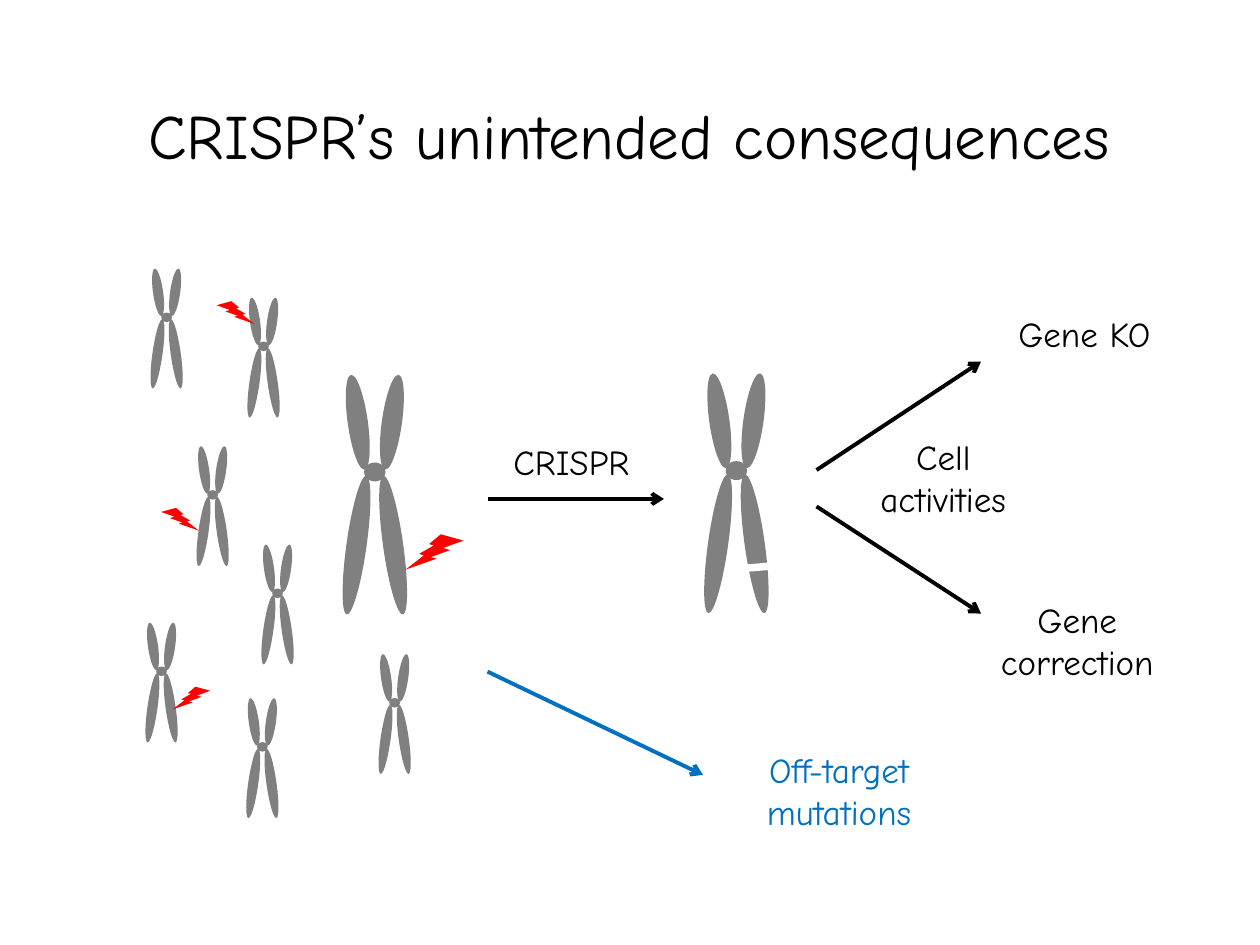
from pptx import Presentation
from pptx.dml.color import RGBColor
from pptx.enum import shapes, text
from pptx.oxml.ns import qn
from pptx.util import Pt
from lxml import etree

FONT = "Comic Neue"
BLACK = RGBColor(0, 0, 0)
WHITE = RGBColor(255, 255, 255)
GREY = RGBColor(128, 128, 128)
CENTRE_GREY = RGBColor(127, 127, 127)
RED = RGBColor(255, 0, 0)
BLUE = RGBColor(0, 112, 192)

# Chromosome parts at full size: left, top, width, height, rotation, colour
CHROMOSOME = [
    (0.7, 0, 11.5, 54.7, 352, GREY),
    (0, 57.6, 11.5, 80, 8, GREY),
    (20.2, 0, 11.5, 54.7, 8, GREY),
    (20.9, 57.6, 11.5, 80, 352, GREY),
    (10.1, 50.4, 12.2, 10.8, 0, CENTRE_GREY),
]
# Corners of the half-size chromosomes, relative to the genome region
SMALL_CHROMOSOMES = [(0, 0), (55.4, 16.6), (26.3, 101.5), (63.4, 157.7),
                     (-2.9, 202.3), (130.3, 220.3), (54.7, 245.5)]
# Cut sites: left, top, width, height, mirrored
CUT_SITES = [(144.7, 151.9, 33.1, 20.2, True), (11.5, 239, 21.6, 13, True),
             (5, 136.8, 21.6, 13, False), (36.7, 18.7, 21.6, 13, False)]


def add_solid(container, kind, x, y, w, h, color):
    sp = container.add_shape(kind, Pt(x), Pt(y), Pt(w), Pt(h))
    sp.shadow.inherit = False
    sp.fill.solid()
    sp.fill.fore_color.rgb = color
    sp.line.fill.background()
    return sp


def add_line(container, start, end, color, width, arrow=True):
    line = container.add_connector(shapes.MSO_CONNECTOR.STRAIGHT,
                                   *(Pt(v) for v in (*start, *end)))
    line.line.color.rgb = color
    line.line.width = Pt(width)
    if arrow:
        etree.SubElement(line.line._get_or_add_ln(), qn("a:tailEnd"), type="arrow")
    etree.SubElement(line.element.spPr, qn("a:effectLst"))


def format_text(tf, words, size, color):
    tf.text = words
    tf.word_wrap = True
    p = tf.paragraphs[0]
    p.alignment = text.PP_ALIGN.CENTER
    p.font.name = FONT
    p.font.size = Pt(size)
    p.font.color.rgb = color


def add_label(slide, words, x, y, w, h, color=BLACK):
    box = slide.shapes.add_textbox(Pt(x), Pt(y), Pt(w), Pt(h))
    format_text(box.text_frame, words, 20, color)


def add_chromosome(slide, left, top, scale=1.0):
    group = slide.shapes.add_group_shape()
    for x, y, w, h, rotation, color in CHROMOSOME:
        sp = add_solid(group.shapes, shapes.MSO_SHAPE.OVAL, left + x * scale,
                       top + y * scale, w * scale, h * scale, color)
        sp.rotation = rotation
    return group


def add_title(slide, left, top, width, height):
    title = slide.shapes.title
    title.left, title.top = Pt(left), Pt(top)
    title.width, title.height = Pt(width), Pt(height)
    format_text(title.text_frame, "CRISPR’s unintended consequences", 36, BLACK)


def add_genome(slide, left, top):
    # Target chromosome and its smaller neighbours
    add_chromosome(slide, left + 110.9, top + 60.5)
    for x, y in SMALL_CHROMOSOMES:
        add_chromosome(slide, left + x, top + y, 0.5)
    # Cut sites
    for x, y, w, h, mirrored in CUT_SITES:
        bolt = add_solid(slide.shapes, shapes.MSO_SHAPE.LIGHTNING_BOLT,
                         left + x, top + y, w, h, RED)
        if mirrored:
            bolt.element.spPr.find(qn("a:xfrm")).set("flipH", "1")


def add_editing(slide, left, top):
    # Step from the target to the cut chromosome
    add_line(slide.shapes, (left, top + 72), (left + 100.8, top + 72), BLACK, 2.25)
    add_label(slide, "CRISPR", left - 11.5, top + 35.3, 118.8, 31.7)
    cut = add_chromosome(slide, left + 126, top)
    add_line(cut.shapes, (left + 164.2, top + 110.2), (left + 147.6, top + 111.6),
             WHITE, 4.25, arrow=False)


def add_outcomes(slide, left, top):
    # Intended results
    add_line(slide.shapes, (left, top + 62), (left + 94, top), BLACK, 2.25)
    add_line(slide.shapes, (left, top + 82.8), (left + 94, top + 144), BLACK, 2.25)
    add_label(slide, "Gene KO", left + 93.6, top - 31.7, 118.8, 31.7)
    add_label(slide, "Cell activities", left + 13, top + 38.9, 118.8, 55.4)
    add_label(slide, "Gene correction", left + 84.2, top + 131.8, 129.6, 55.4)


def add_side_effect(slide, left, top):
    # Unintended result
    add_line(slide.shapes, (left, top), (left + 123.1, top + 59), BLUE, 2.25)
    add_label(slide, "Off-target mutations", left + 136.1, top + 40.3, 129.6, 55.4, BLUE)


def main():
    prs = Presentation()
    prs.slide_width, prs.slide_height = Pt(720), Pt(540)
    slide = prs.slides.add_slide(prs.slide_layouts[5])
    add_title(slide, 49, 51.1, 620.6, 51.1)
    add_genome(slide, 87.1, 153.4)
    add_editing(slide, 278.6, 213.1)
    add_outcomes(slide, 466.6, 206.6)
    add_side_effect(slide, 278.6, 383.8)
    prs.save("out.pptx")


if __name__ == "__main__":
    main()
